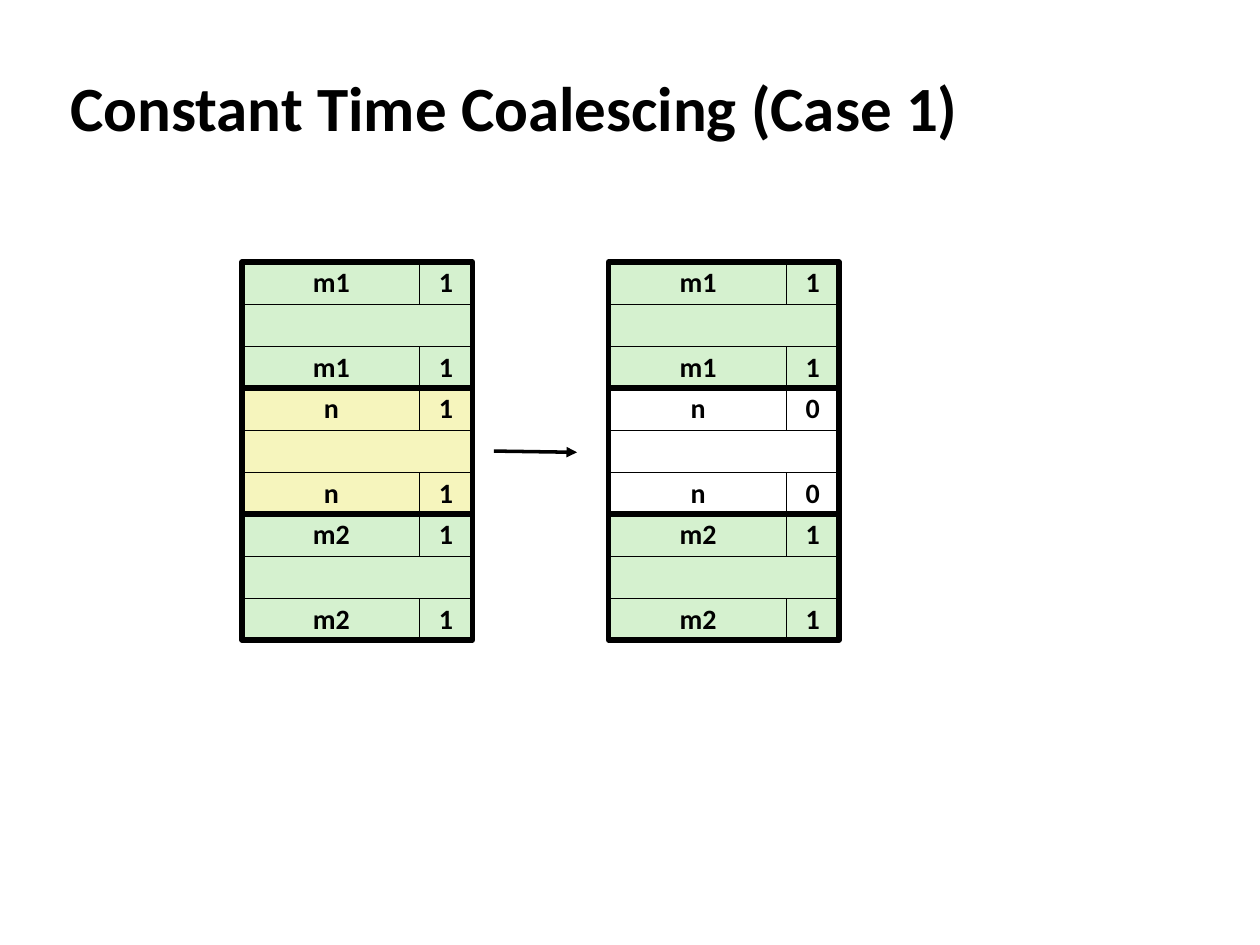
"""Build the slide on constant time coalescing, case 1."""
from lxml import etree
from pptx import Presentation
from pptx.dml.color import RGBColor
from pptx.enum.shapes import MSO_CONNECTOR, MSO_SHAPE
from pptx.enum.text import MSO_ANCHOR, PP_ALIGN
from pptx.oxml.ns import qn
from pptx.util import Inches, Pt

RECT = MSO_SHAPE.RECTANGLE
STRAIGHT = MSO_CONNECTOR.STRAIGHT
MIDDLE = MSO_ANCHOR.MIDDLE
CENTER = PP_ALIGN.CENTER

COLORS = {"green": "D5F1CF", "yellow": "F6F5BD", "white": "FFFFFF", "black": "000000"}
FONT = "Calibri"
TOP = 2.08
ROW_H = 1 / 3
SIZE_W, FLAG_W = 1.42, 0.42
BLOCK_W = 1.83
HEAPS = [
    (1.92, [("m1", "1", "green"), ("n", "1", "yellow"), ("m2", "1", "green")]),
    (4.83, [("m1", "1", "green"), ("n", "0", "white"), ("m2", "1", "green")]),
]


def set_text(sp, text, size):
    tf = sp.text_frame
    tf.vertical_anchor = MIDDLE
    tf.text = text
    p = tf.paragraphs[0]
    font = p.runs[0].font
    font.name = FONT
    font.size = Pt(size)
    font.bold = True
    font.color.rgb = RGBColor.from_string(COLORS["black"])
    return p


def add_rect(x, y, w, h, fill=None, line=0.25, text=""):
    sp = s.shapes.add_shape(RECT, Inches(x), Inches(y), Inches(w), Inches(h))
    sp.shadow.inherit = False
    if fill:
        sp.fill.solid()
        sp.fill.fore_color.rgb = RGBColor.from_string(COLORS[fill])
    else:
        sp.fill.background()
    sp.line.color.rgb = RGBColor.from_string(COLORS["black"])
    sp.line.width = Pt(line)
    if text:
        sp.text_frame.word_wrap = False
        p = set_text(sp, text, 16)
        p.alignment = CENTER
        p.line_spacing = 0.98


prs = Presentation()
prs.slide_width, prs.slide_height = Inches(10), Inches(7.5)
s = prs.slides.add_slide(prs.slide_layouts[6])

title = s.shapes.add_textbox(Inches(0.46), Inches(0.53), Inches(9.08), Inches(0.63))
title.text_frame.word_wrap = True
set_text(title, "Constant Time Coalescing (Case 1)", 36)

for x, blocks in HEAPS:
    for i, (size, flag, fill) in enumerate(blocks):
        y = TOP + i
        for tag_y in (y, y + 2 * ROW_H):
            add_rect(x, tag_y, SIZE_W, ROW_H, fill, text=size)
            add_rect(x + BLOCK_W - FLAG_W, tag_y, FLAG_W, ROW_H, fill, text=flag)
        add_rect(x, y + ROW_H, BLOCK_W, ROW_H, fill)
        add_rect(x, y, BLOCK_W, 3 * ROW_H, line=3)

arrow = s.shapes.add_connector(
    STRAIGHT, Inches(3.92), Inches(3.58), Inches(4.58), Inches(3.59)
)
arrow.line.color.rgb = RGBColor.from_string(COLORS["black"])
arrow.line.width = Pt(2)
etree.SubElement(arrow.line._get_or_add_ln(), qn("a:tailEnd"), type="triangle")
etree.SubElement(arrow._element.spPr, qn("a:effectLst"))

prs.save("out.pptx")
